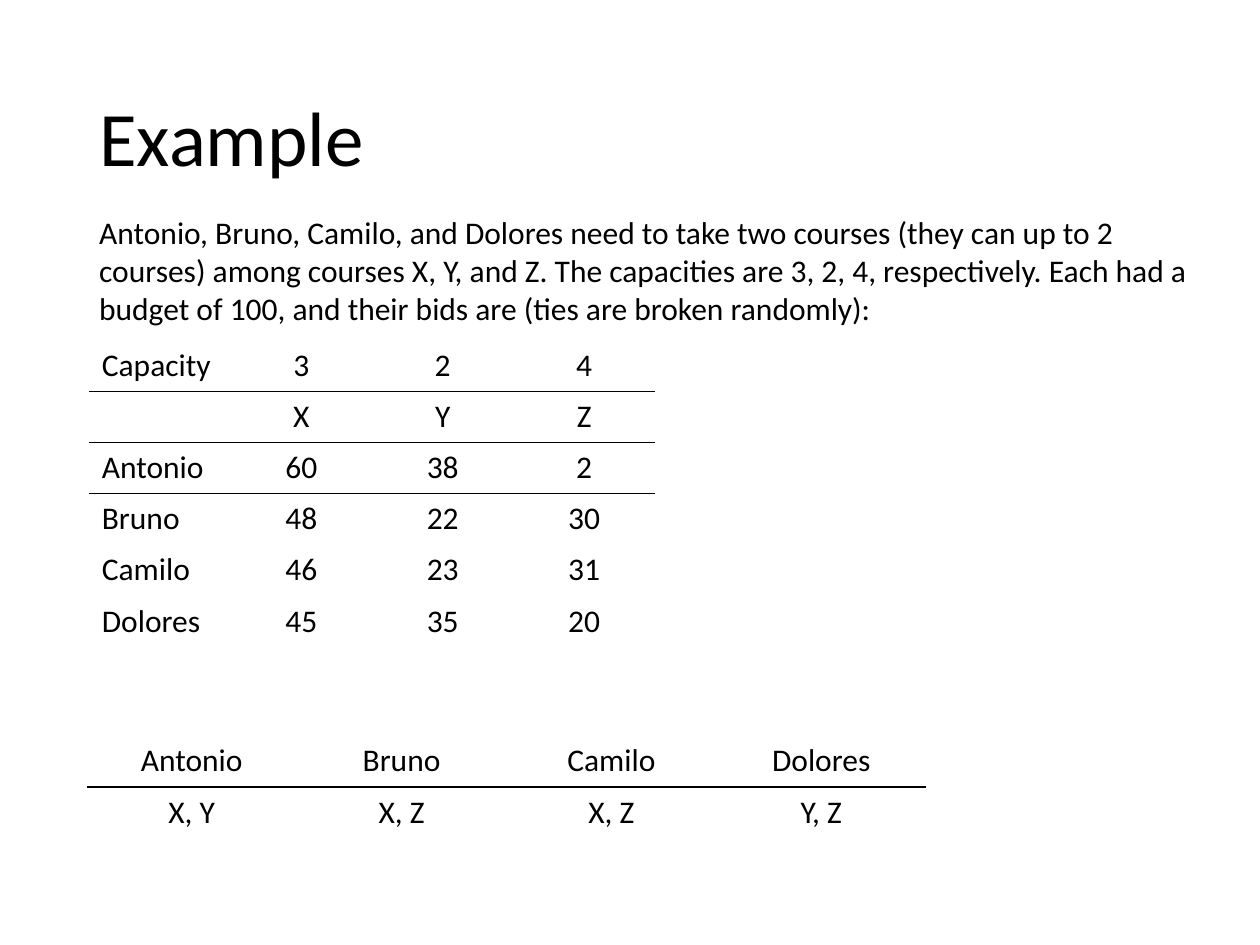
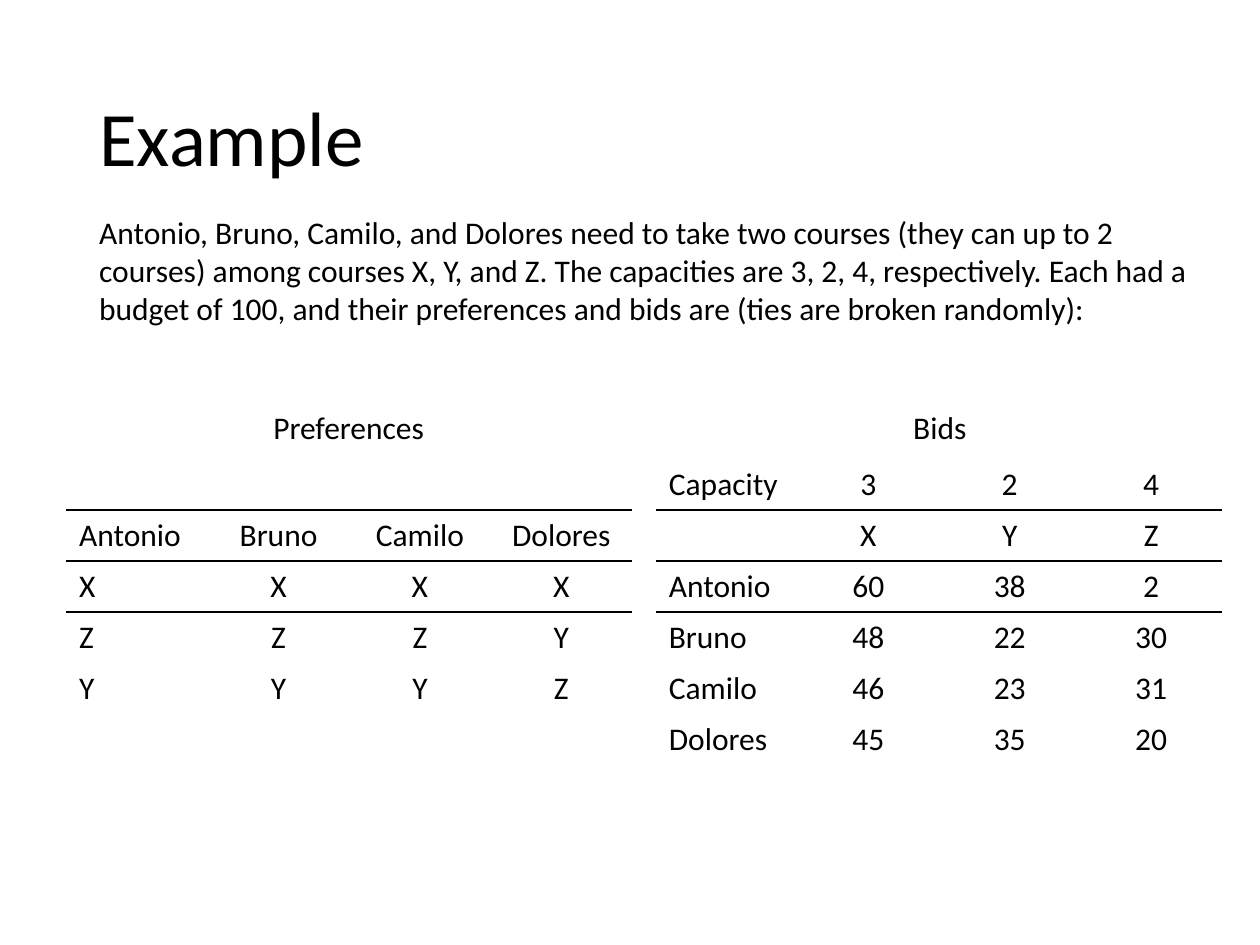
from dataclasses import dataclass

from lxml.etree import SubElement
from pptx import Presentation
from pptx.dml.color import RGBColor
from pptx.enum.text import MSO_ANCHOR, MSO_AUTO_SIZE, PP_ALIGN
from pptx.oxml.ns import qn
from pptx.util import Cm, Pt

HUES = {"ink": "000000", "page": "FFFFFF"}
FACE = "Calibri"
PLAIN = "{2D5ABB26-0587-4C30-8999-92F81FD0307C}"
ROW = 1.03
MARGIN = 1.75
STUDENTS = ["Antonio", "Bruno", "Camilo", "Dolores"]
BIDS = [
    ["Capacity", "3", "2", "4"],
    ["", "X", "Y", "Z"],
    ["Antonio", "60", "38", "2"],
    ["Bruno", "48", "22", "30"],
    ["Camilo", "46", "23", "31"],
    ["Dolores", "45", "35", "20"],
]
PICKS = [STUDENTS, ["X, Y", "X, Z", "X, Z", "Y, Z"]]
RANKS = [[""] * 4, STUDENTS, list("XXXX"), list("ZZZY"), list("YYYZ")]
INTRO = (
    "Antonio, Bruno, Camilo, and Dolores need to take two courses (they can up to 2 "
    "courses) among courses X, Y, and Z. The capacities are 3, 2, 4, respectively. "
    "Each had a budget of 100, and their {} are (ties are broken randomly):"
)


@dataclass
class Grid:
    """A ruled table: its cells, place, column width and number of ruled rows."""
    cells: list[list[str]]
    left: float
    top: float
    col: float = 2.85
    rules: int = 3
    names: bool = True


@dataclass
class Label:
    """A free text box."""
    text: str
    left: float
    top: float
    width: float
    height: float
    wrap: bool = False


@dataclass
class Page:
    """The labels and grids of one slide."""
    labels: list[Label]
    grids: list[Grid]


def write(frame, text: str, *, size: int = 18, align=PP_ALIGN.LEFT, space: float = 1.0) -> None:
    """Put one formatted paragraph in a text frame."""
    para = frame.paragraphs[0]
    para.alignment = align
    para.line_spacing = space
    if text:
        run = para.add_run()
        run.text = text
        run.font.size = Pt(size)
        run.font.name = FACE
        run.font.color.rgb = RGBColor.from_string(HUES["ink"])


def edge(cell, side: str, shown: bool) -> None:
    """Rule one side of a cell, or clear it."""
    line = SubElement(cell._tc.get_or_add_tcPr(), qn(f"a:ln{side}"), w=str(Pt(1)))
    if shown:
        fill = SubElement(line, qn("a:solidFill"))
        SubElement(fill, qn("a:srgbClr"), val=HUES["ink"])
    else:
        SubElement(line, qn("a:noFill"))


def draw_grid(slide, grid: Grid) -> None:
    """Draw a table with lines under its first rows."""
    rows, cols = len(grid.cells), len(grid.cells[0])
    table = slide.shapes.add_table(
        rows, cols, Cm(grid.left), Cm(grid.top), Cm(grid.col * cols), Cm(ROW * rows)
    ).table
    table.first_row = table.horz_banding = False
    table._tbl.tblPr.find(qn("a:tableStyleId")).text = PLAIN
    for col in table.columns:
        col.width = Cm(grid.col)
    for r, words in enumerate(grid.cells):
        table.rows[r].height = Cm(ROW)
        for c, word in enumerate(words):
            cell = table.cell(r, c)
            edge(cell, "T", 0 < r <= grid.rules)
            edge(cell, "B", r < grid.rules)
            cell.fill.background()
            left = grid.names and c == 0
            write(cell.text_frame, word, align=PP_ALIGN.LEFT if left else PP_ALIGN.CENTER)


def draw_label(slide, label: Label) -> None:
    """Draw a text box that grows with its text."""
    box = slide.shapes.add_textbox(
        Cm(label.left), Cm(label.top), Cm(label.width), Cm(label.height)
    )
    box.text_frame.word_wrap = label.wrap
    box.text_frame.auto_size = MSO_AUTO_SIZE.SHAPE_TO_FIT_TEXT
    write(box.text_frame, label.text)


def draw_title(slide, text: str) -> None:
    """Place and format the slide title."""
    title = slide.shapes.title
    title.left, title.top = Cm(MARGIN), Cm(1.02)
    title.width, title.height = Cm(21.9), Cm(3.68)
    title.text_frame.auto_size = MSO_AUTO_SIZE.NONE
    title.text_frame.vertical_anchor = MSO_ANCHOR.MIDDLE
    write(title.text_frame, text, size=44, space=0.9)


def intro(topic: str) -> Label:
    """Give the opening text for what the tables list."""
    return Label(INTRO.format(topic), MARGIN, 4.17, 22.91, 2.57, wrap=True)


PAGES = [
    Page(
        [intro("bids")],
        [Grid(BIDS, 1.8, 6.86), Grid(PICKS, MARGIN, 14.83, col=4.23, rules=1, names=False)],
    ),
    Page(
        [
            intro("preferences and bids"),
            Label("Preferences", 5.26, 8.1, 3.58, 1.02),
            Label("Bids", 18.16, 8.1, 1.6, 1.02),
        ],
        [Grid(BIDS, 13.23, 9.25), Grid(RANKS, 1.34, 9.25)],
    ),
]


def main() -> None:
    """Build the deck."""
    deck = Presentation()
    deck.slide_width, deck.slide_height = Cm(25.4), Cm(19.05)
    for page in PAGES:
        slide = deck.slides.add_slide(deck.slide_layouts[5])
        slide.background.fill.solid()
        slide.background.fill.fore_color.rgb = RGBColor.from_string(HUES["page"])
        draw_title(slide, "Example")
        for grid in page.grids:
            draw_grid(slide, grid)
        for label in page.labels:
            draw_label(slide, label)
    deck.save("out.pptx")


if __name__ == "__main__":
    main()
